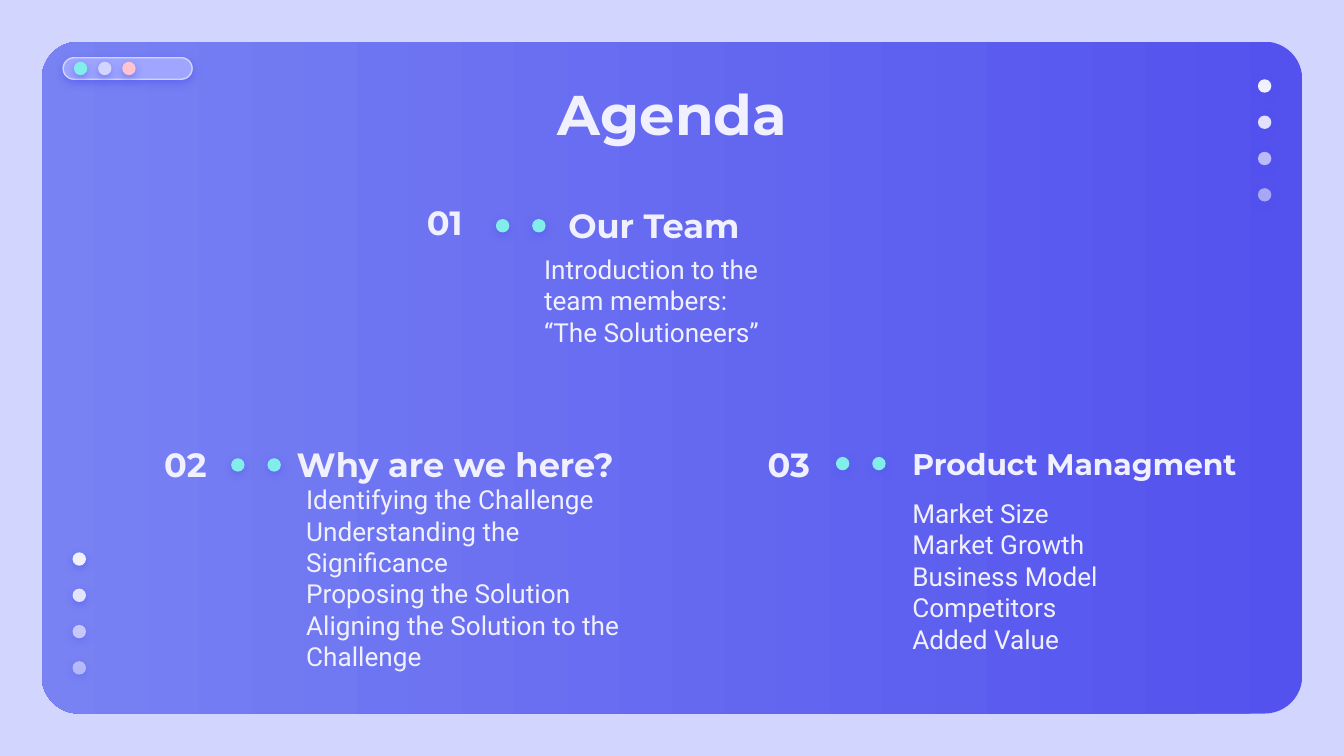
from lxml import etree
from pptx import Presentation
from pptx.dml.color import RGBColor
from pptx.enum.shapes import MSO_SHAPE
from pptx.enum.text import MSO_ANCHOR, MSO_AUTO_SIZE, PP_ALIGN
from pptx.oxml.ns import qn
from pptx.util import Inches, Pt

ROUND, OVAL = MSO_SHAPE.ROUNDED_RECTANGLE, MSO_SHAPE.OVAL
TOP, MIDDLE = MSO_ANCHOR.TOP, MSO_ANCHOR.MIDDLE
LEFT, CENTER = PP_ALIGN.LEFT, PP_ALIGN.CENTER
NO_FIT = MSO_AUTO_SIZE.NONE

PALE = RGBColor(0xD2, 0xD6, 0xFF)
INDIGO = RGBColor(0x53, 0x52, 0xEE)
BLUE = RGBColor(0x78, 0x82, 0xF3)
LILAC = RGBColor(0x9E, 0xA6, 0xFF)
AQUA = RGBColor(0x81, 0xEE, 0xEB)
PINK = RGBColor(0xFF, 0xC3, 0xD0)
WHITE = RGBColor(0xF1, 0xF0, 0xFF)

HEAD, BODY = "Montserrat", "Roboto"
WIDTH = Inches(10)
HEIGHT = WIDTH * 9 // 16
DOT = 0.1
GAP = 0.27  # step between dots in a row or column
FADE = (100, 90, 67, 54)  # opacity down a column of dots

# Per topic: number, its place, dots' place, heading, its box and size,
# lines and their box
TOPICS = [
    ("01", (2.83, 1.52), (3.69, 1.63),
     "Our Team", (4.13, 1.54, 2.52, 0.27), 18,
     ["Introduction to the team members:", "“The Solutioneers”"],
     (3.95, 1.97, 2.04, 0.53)),
    ("02", (0.9, 3.32), (1.72, 3.41),
     "Why are we here?", (2.11, 3.32, 2.66, 0.27), 18,
     ["Identifying the Challenge", "Understanding the Significance",
      "Proposing the Solution", "Aligning the Solution to the Challenge"],
     (2.18, 3.78, 2.66, 1.04)),
    ("03", (5.39, 3.32), (6.22, 3.4),
     "Product Managment", (6.69, 3.28, 2.75, 0.34), 16,
     ["Market Size", "Market Growth", "Business Model", "Competitors",
      "Added Value"],
     (6.69, 4.02, 2.04, 0.53)),
]


def add_alpha(color, share):
    etree.SubElement(color, qn("a:alpha"), val=str(share * 1000))


def add_shape(slide, kind, box, fill=None):
    shape = slide.shapes.add_shape(kind, *map(Inches, box))
    shape.shadow.inherit = False
    shape.line.fill.background()
    if fill is not None:
        shape.fill.solid()
        shape.fill.fore_color.rgb = fill
    return shape


def add_glow(shape):
    """Give the shape a soft indigo shadow below it."""
    effects = shape._element.spPr.find(qn("a:effectLst"))
    shadow = etree.SubElement(
        effects, qn("a:outerShdw"), blurRad=str(Pt(4.5)), dist=str(Pt(1.5)),
        dir="5400000", algn="bl", rotWithShape="0")
    color = etree.SubElement(shadow, qn("a:srgbClr"), val=str(INDIGO))
    add_alpha(color, 50)


def add_dot(slide, left, top, fill, share=100):
    dot = add_shape(slide, OVAL, (left, top, DOT, DOT), fill)
    if share < 100:
        add_alpha(dot._element.spPr.find(".//" + qn("a:srgbClr")), share)
    add_glow(dot)


def add_column(slide, left, top):
    for row, share in enumerate(FADE):
        add_dot(slide, left, top + row * GAP, WHITE, share)


def set_text(shape, lines, font, size, bold=False, align=LEFT, anchor=MIDDLE):
    frame = shape.text_frame
    frame.word_wrap = True
    frame.auto_size = NO_FIT
    frame.vertical_anchor = anchor
    frame.margin_left = frame.margin_right = Inches(0.1)
    frame.margin_top = frame.margin_bottom = Inches(0.1)
    for index, line in enumerate(lines):
        para = frame.add_paragraph() if index else frame.paragraphs[0]
        para.alignment = align
        run = para.add_run()
        run.text = line
        run.font.name = font
        run.font.size = Pt(size)
        run.font.bold = bold
        run.font.color.rgb = WHITE


def add_text(slide, box, lines, font, size, **style):
    shape = slide.shapes.add_textbox(*map(Inches, box))
    set_text(shape, lines, font, size, **style)


def add_panel(slide):
    panel = add_shape(slide, ROUND, (0.31, 0.31, 9.38, 5))
    panel.adjustments[0] = 0.056
    panel.fill.gradient()
    panel.fill.gradient_angle = 180
    for stop, place, color in zip(panel.fill.gradient_stops, (0, 1),
                                  (INDIGO, BLUE)):
        stop.position = place
        stop.color.rgb = color


def add_pill(slide):
    pill = add_shape(slide, ROUND, (0.47, 0.43, 0.96, 0.16), LILAC)
    pill.adjustments[0] = 0.5
    pill.line.color.rgb = PALE
    pill.line.width = Pt(0.75)
    add_glow(pill)
    for index, color in enumerate((AQUA, PALE, PINK)):
        add_dot(slide, 0.55 + index * 0.18, 0.46, color)


def add_title(slide, text):
    title = slide.shapes.title
    title.left, title.top = Inches(0.79), Inches(0.49)
    title.width, title.height = Inches(8.43), Inches(0.63)
    set_text(title, [text], HEAD, 30, bold=True, align=CENTER, anchor=TOP)
    # Bring the title in front of the panel
    slide.shapes._spTree.append(title._element)


def add_topic(slide, number, spot, dots, head, head_box, size, lines, box):
    add_text(slide, (*spot, 0.96, 0.27), [number], HEAD, 18,
             bold=True, align=CENTER)
    for index in range(2):
        add_dot(slide, dots[0] + index * GAP, dots[1], AQUA)
    add_text(slide, head_box, [head], HEAD, size, bold=True)
    add_text(slide, box, lines, BODY, 14)


def main():
    deck = Presentation()
    deck.slide_width, deck.slide_height = WIDTH, HEIGHT
    slide = deck.slides.add_slide(deck.slide_layouts[5])

    # Backdrop
    slide.background.fill.solid()
    slide.background.fill.fore_color.rgb = PALE
    add_panel(slide)
    add_pill(slide)
    add_column(slide, 9.36, 0.59)
    add_column(slide, 0.54, 4.11)

    # Agenda
    add_title(slide, "Agenda")
    for topic in TOPICS:
        add_topic(slide, *topic)

    deck.save("out.pptx")


if __name__ == "__main__":
    main()
